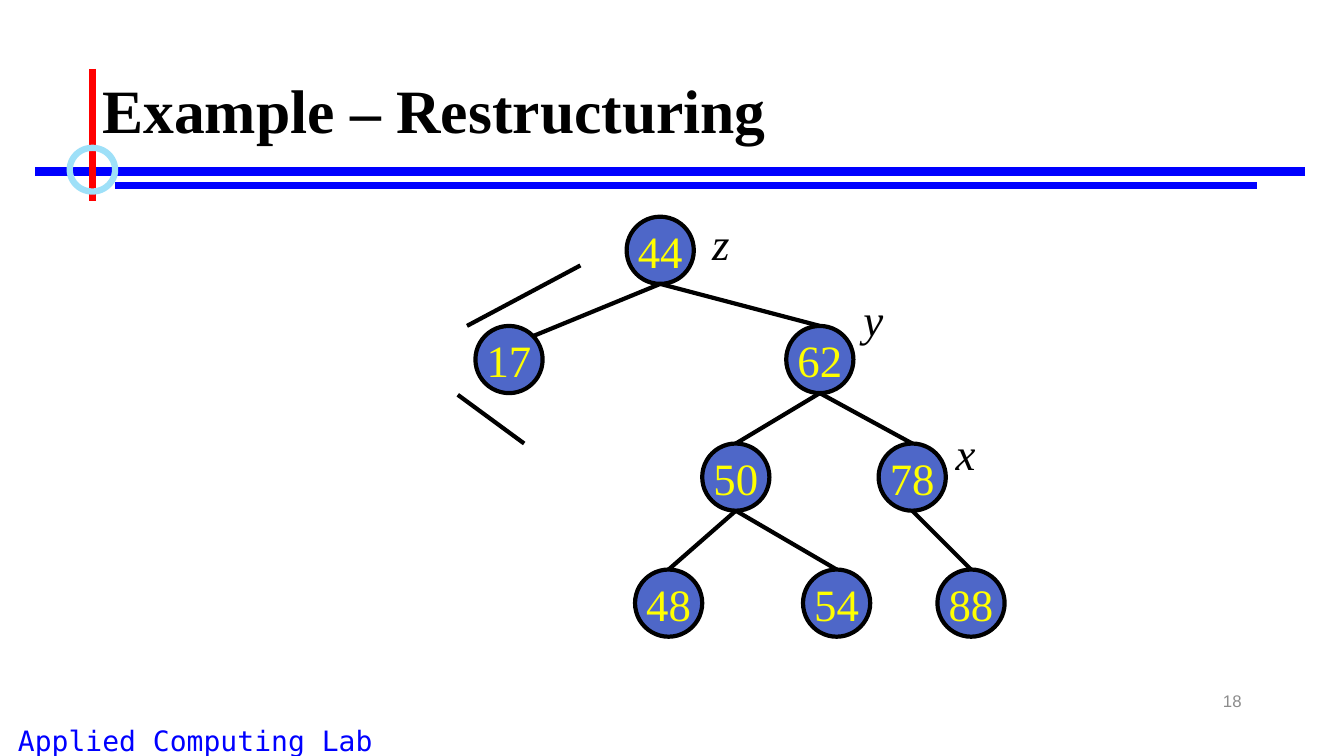
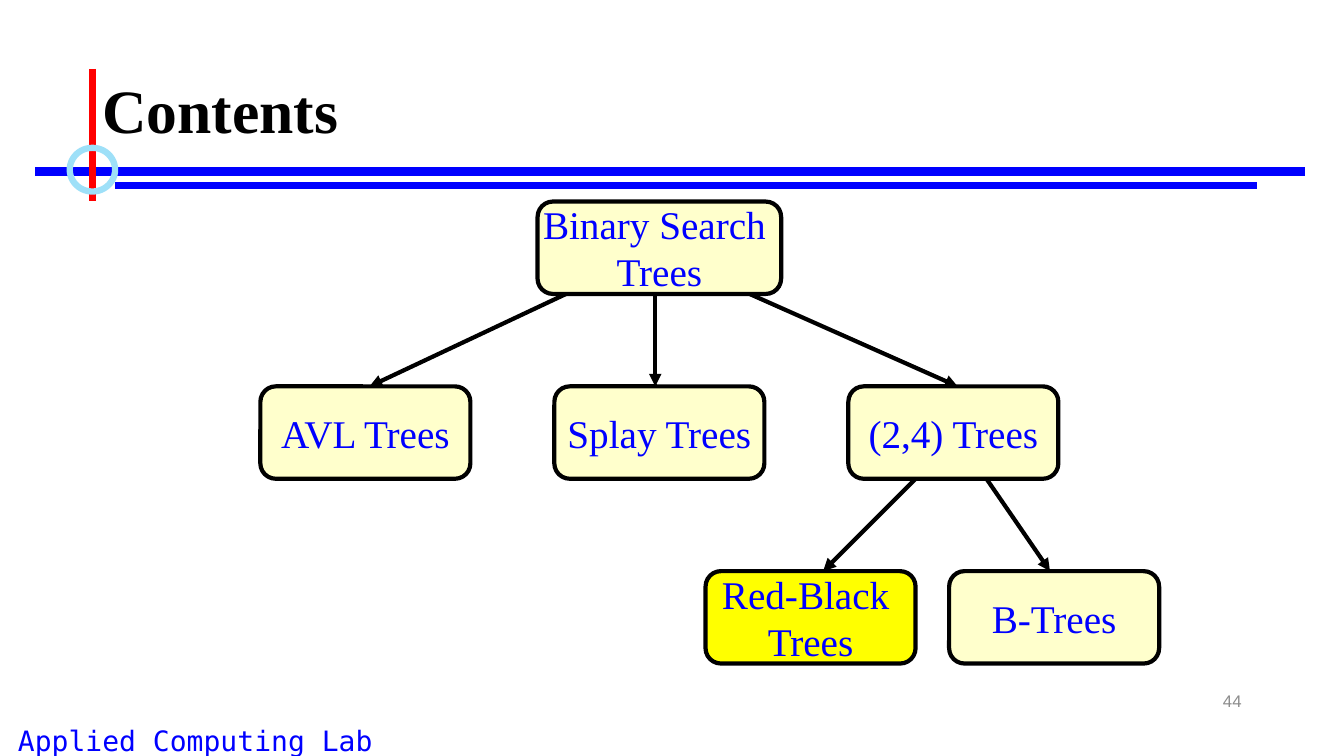
from pptx import Presentation
from pptx import util as u
from pptx.dml.color import RGBColor
from pptx.enum import shapes, text
from pptx.oxml import parse_xml
from pptx.oxml.ns import nsdecls, qn

# Grid: 160 columns by 90 rows, 12 cells to the inch
COLS, ROWS = 160, 90
CELL = u.Inches(1) // 12

SERIF, SANS, MONO = "Times New Roman", "Arial", "DejaVu Sans Mono"
BLACK, BLUE, RED, SKY = "000000", "0000FF", "FF0000", "9EE0F8"
GREY, DISC, CREAM, GOLD = "8C8C8C", "4E67C8", "FFFFCC", "FFFF00"
LEFT, MID, RIGHT = text.PP_ALIGN.LEFT, text.PP_ALIGN.CENTER, text.PP_ALIGN.RIGHT
TOP, CORE = text.MSO_ANCHOR.TOP, text.MSO_ANCHOR.MIDDLE
OVAL = shapes.MSO_SHAPE.OVAL
ROUND = shapes.MSO_SHAPE.ROUNDED_RECTANGLE
NODE = 8
BOX_W, BOX_H = 25, 11


def grid(*cells):
    return [round(c * CELL) for c in cells]


def color(code):
    return RGBColor.from_string(code)


# Text in any shape; each line of words is a paragraph
def write(shape, words, size=32, font=SERIF, hue=BLACK, bold=False,
          slant=False, align=LEFT, anchor=TOP, wrap=False, lead=None):
    frame = shape.text_frame
    frame.word_wrap = wrap
    frame.vertical_anchor = anchor
    frame.text = words
    for para in frame.paragraphs:
        para.alignment = align
        if lead:
            para.line_spacing = lead
        face = para.font
        face.size, face.name = u.Pt(size), font
        face.bold, face.italic = bold, slant
        face.color.rgb = color(hue)


def label(slide, at, words, **form):
    write(slide.shapes.add_textbox(*grid(*at)), words, **form)


def line(slide, start, end, hue=BLACK, width=3, arrow=False):
    link = slide.shapes.add_connector(
        shapes.MSO_CONNECTOR.STRAIGHT, *grid(*start, *end))
    link.line.color.rgb = color(hue)
    link.line.width = u.Pt(width)
    props = link._element.spPr
    if arrow:
        props.find(qn("a:ln")).append(
            parse_xml(f'<a:tailEnd {nsdecls("a")} type="triangle"/>'))
    props.append(parse_xml(f'<a:effectLst {nsdecls("a")}/>'))


def shape(slide, kind, at, fill=None, edge=BLACK, width=3):
    form = slide.shapes.add_shape(kind, *grid(*at))
    form.shadow.inherit = False
    if fill:
        form.fill.solid()
        form.fill.fore_color.rgb = color(fill)
    else:
        form.fill.background()
    form.line.color.rgb = color(edge)
    form.line.width = u.Pt(width)
    return form


# Tree node, placed by its centre
def node(slide, x, y, words):
    disc = shape(slide, OVAL, (x - NODE / 2, y - NODE / 2, NODE, NODE), DISC)
    write(disc, words, hue=GOLD, align=MID, anchor=CORE)


# Topic box, placed by its top left corner
def topic(slide, x, y, words, wide=BOX_W, fill=CREAM):
    card = shape(slide, ROUND, (x, y, wide, BOX_H), fill)
    card.adjustments[0] = 0.167
    write(card, words, size=28, hue=BLUE, align=MID, anchor=CORE)


# Parts that every slide shares
def base(deck, title, page):
    slide = deck.slides.add_slide(deck.slide_layouts[6])
    label(slide, (-7, 85.5, 60.5, 5.2), "Applied Computing Lab", size=20,
          font=MONO, hue=BLUE, align=MID, wrap=True)
    line(slide, (4.2, 20.4), (155.4, 20.4), BLUE, 6)
    line(slide, (13.7, 22.1), (149.6, 22.1), BLUE, 4.5)
    line(slide, (11, 8.2), (11, 23.9), RED, 4.5)
    shape(slide, OVAL, (8.3, 17.6, 5.4, 5.2), edge=SKY, width=4.5)
    label(slide, (113, 81, 36, 4.8), page, size=12, font=SANS, hue=GREY,
          align=RIGHT, anchor=CORE, wrap=True)
    label(slide, (11, 4.8, 138, 17.4), title, size=44, bold=True,
          anchor=CORE, wrap=True, lead=0.9)
    return slide


def tree(deck):
    slide = base(deck, "Example – Restructuring", "18")
    rows = (29.8, 42.8, 56.8, 71.8)
    # Key: column, level, parent
    nodes = {
        "44": (78.6, 0, None), "17": (60.6, 1, "44"), "62": (97.6, 1, "44"),
        "50": (87.6, 2, "62"), "78": (108.6, 2, "62"),
        "48": (79.6, 3, "50"), "54": (99.6, 3, "50"), "88": (115.6, 3, "78"),
    }
    ends = {"17": (63.5, 40)}
    for key, (x, level, over) in nodes.items():
        if over:
            px, above, _ = nodes[over]
            end = ends.get(key, (x, rows[level] - NODE / 2))
            line(slide, (px, rows[above] + NODE / 2), end)
        node(slide, x, rows[level], key)

    # Node names and loose strokes
    for name, x, y in (("z", 83.6, 25.1), ("y", 101.6, 34.1), ("x", 112.6, 50.1)):
        label(slide, (x, y, 4.8, 7.6), name, slant=True)
    line(slide, (54.5, 47), (62.4, 52.8))
    line(slide, (69.1, 31.6), (55.6, 38.8))


def topics(deck):
    slide = base(deck, "Contents", "44")
    top, mid, low = (24 + 22 * i for i in range(3))
    # Arrows run from behind a box to the top of the next row
    for x, y, goals in ((114, mid, (98, 125)), (78, top, (44, 78, 114))):
        for goal in goals:
            line(slide, (x, y + 6), (goal, y + 22), arrow=True)
    topic(slide, 64, top, "Binary Search \nTrees", wide=29)
    for x, words in ((31, "AVL Trees"), (66, "Splay Trees"), (101, "(2,4) Trees")):
        topic(slide, x, mid, words)
    topic(slide, 84, low, "Red-Black \nTrees", fill=GOLD)
    topic(slide, 113, low, "B-Trees")


def main():
    deck = Presentation()
    deck.slide_width, deck.slide_height = grid(COLS, ROWS)
    tree(deck)
    topics(deck)
    deck.save("out.pptx")


if __name__ == "__main__":
    main()
